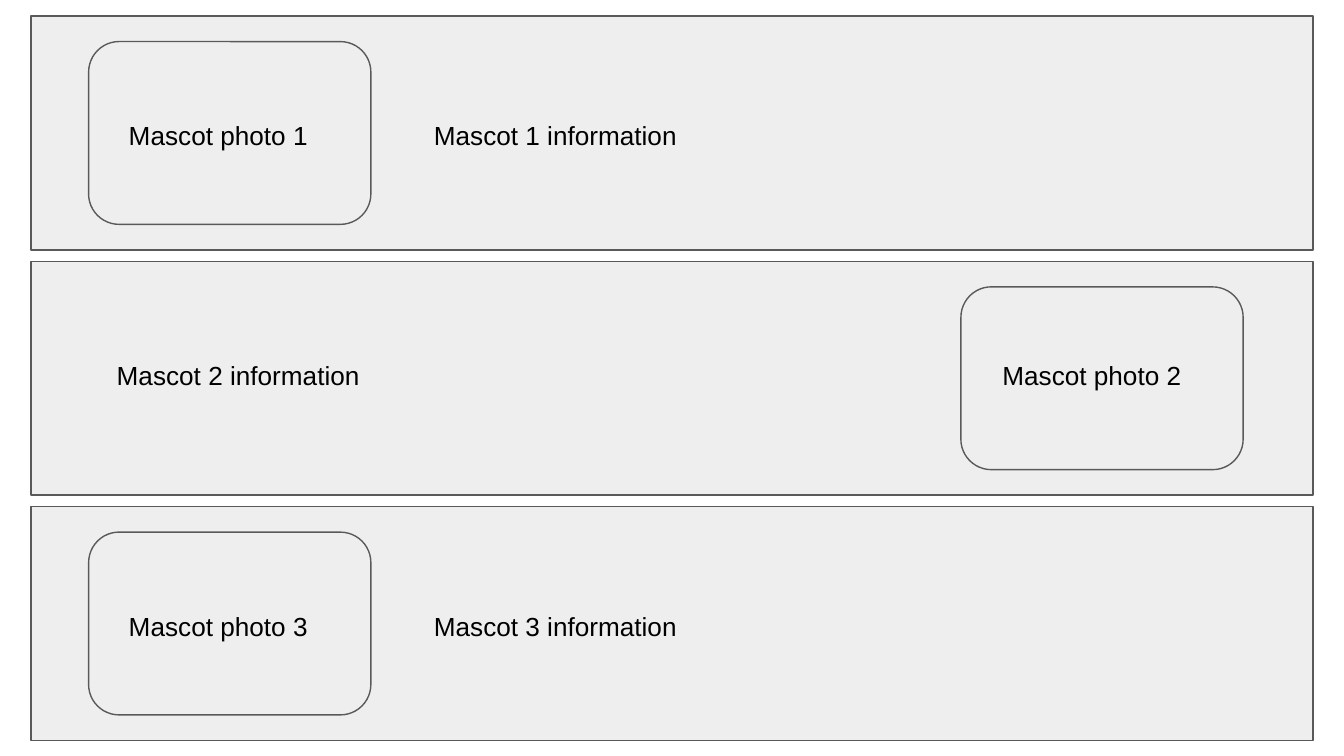
import pptx
import pptx.dml.color
import pptx.enum.shapes
import pptx.util

Inches = pptx.util.Inches
Shape = pptx.enum.shapes.MSO_SHAPE


def color(value):
    return pptx.dml.color.RGBColor.from_string(value)


class Canvas:
    """Holds the shared style and the slide being drawn on."""

    FILL, LINE, TEXT = "EEEEEE", "595959", "000000"
    FONT, SIZE = "Arial", 14

    def __init__(self, slide):
        self.s = slide

    def panel(self, kind, left, top, width, height):
        sp = self.s.shapes.add_shape(
            kind, Inches(left), Inches(top), Inches(width), Inches(height))
        sp.shadow.inherit = False
        sp.fill.solid()
        sp.fill.fore_color.rgb = color(self.FILL)
        sp.line.color.rgb = color(self.LINE)
        sp.line.width = pptx.util.Pt(0.75)

    def label(self, text, left, top, height):
        sp = self.s.shapes.add_textbox(
            Inches(left), Inches(top), Inches(6.33), Inches(height))
        tf = sp.text_frame
        tf.word_wrap = True
        tf.margin_left = tf.margin_right = Inches(0.1)
        tf.margin_top = tf.margin_bottom = Inches(0.1)
        r = tf.paragraphs[0].add_run()
        r.text = text
        r.font.name = self.FONT
        r.font.size = pptx.util.Pt(self.SIZE)
        r.font.color.rgb = color(self.TEXT)


def main():
    prs = pptx.Presentation()
    prs.slide_width = Inches(10)
    prs.slide_height = prs.slide_width * 9 // 16
    canvas = Canvas(prs.slides.add_slide(prs.slide_layouts[6]))

    first_top, last_top = 0.12, 3.77
    # photo left, photo label left, information left, label offset, information height
    outer_row = (0.66, 0.86, 3.13, 0.67, 0.58)
    middle_row = (7.15, 7.36, 0.77, 0.63, 0.74)
    rows = [outer_row, middle_row, outer_row]
    pitch = (last_top - first_top) / (len(rows) - 1)
    for i, (photo, caption, info, offset, info_height) in enumerate(rows):
        top = first_top + i * pitch
        canvas.panel(Shape.RECTANGLE, 0.23, top, 9.54, 1.74)
        canvas.panel(Shape.ROUNDED_RECTANGLE, photo, top + 0.19, 2.1, 1.36)
        canvas.label(f"Mascot photo {i + 1}", caption, top + offset, 0.74)
        canvas.label(f"Mascot {i + 1} information", info, top + offset, info_height)

    prs.save("out.pptx")


if __name__ == "__main__":
    main()
